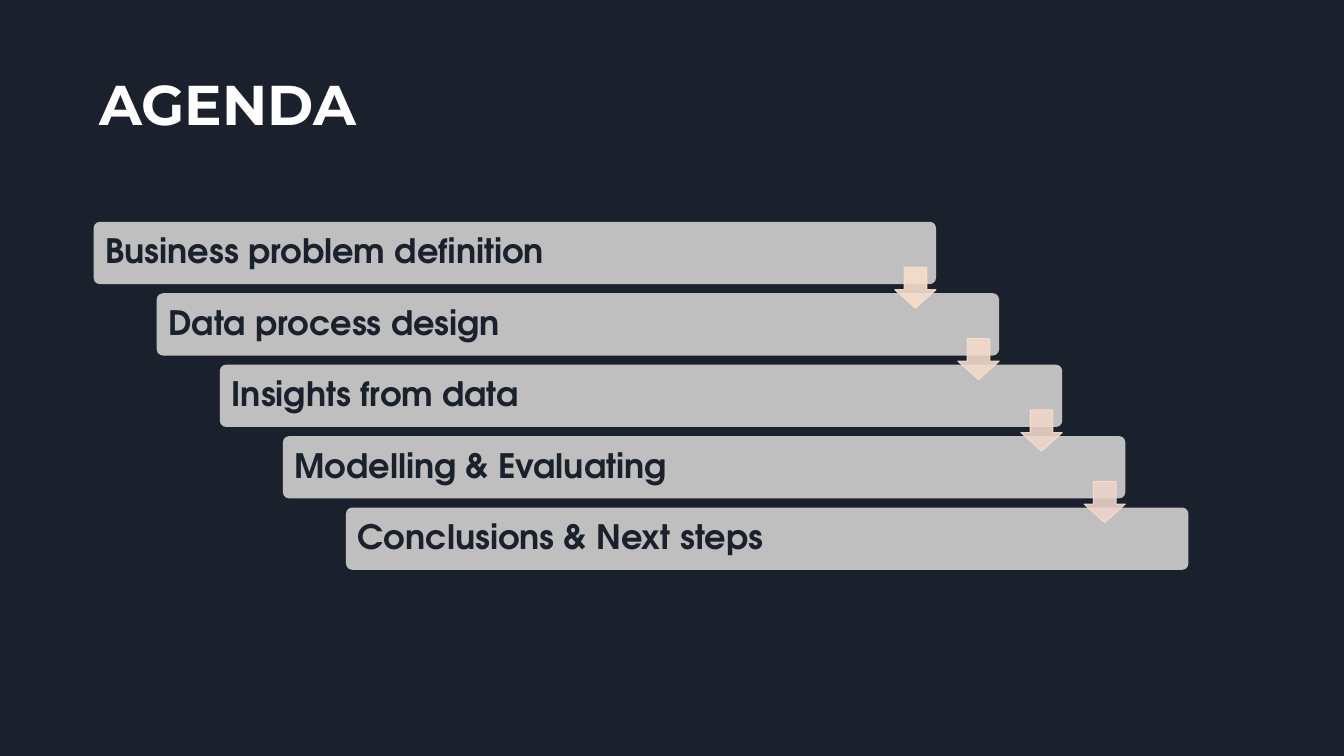
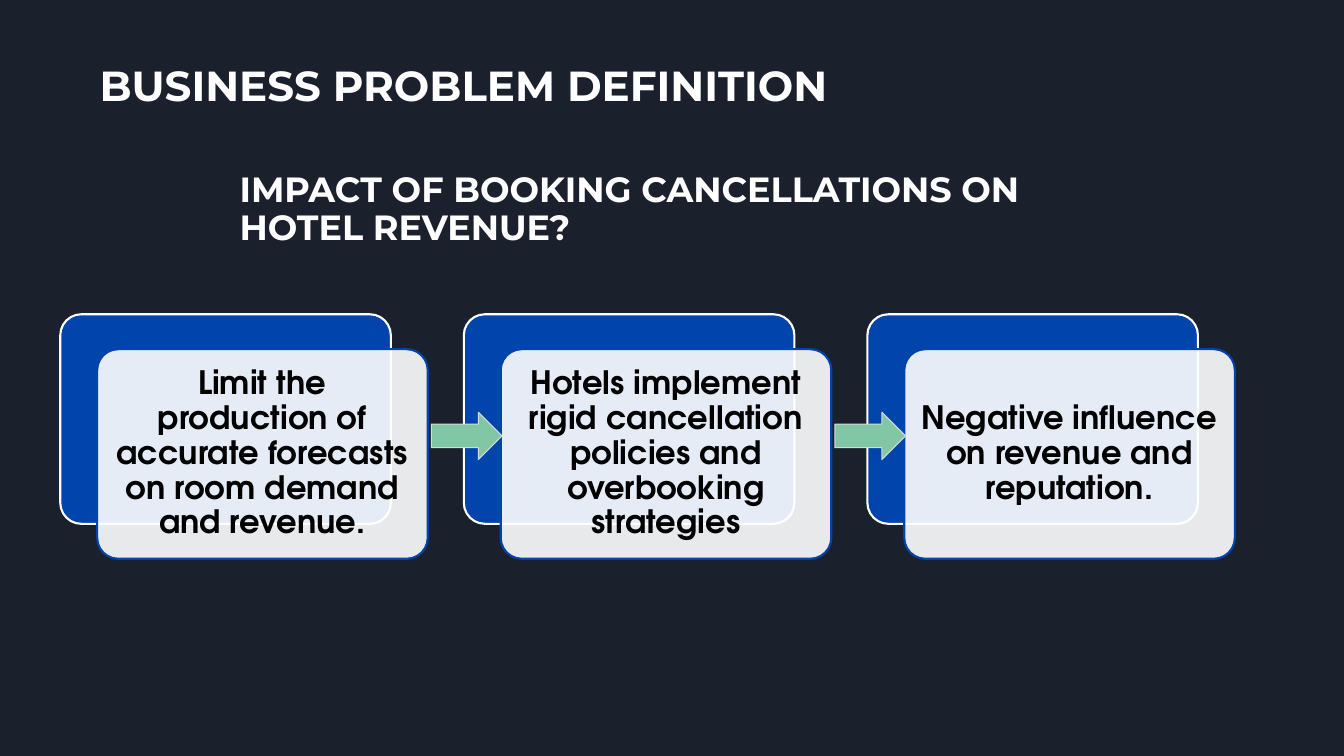
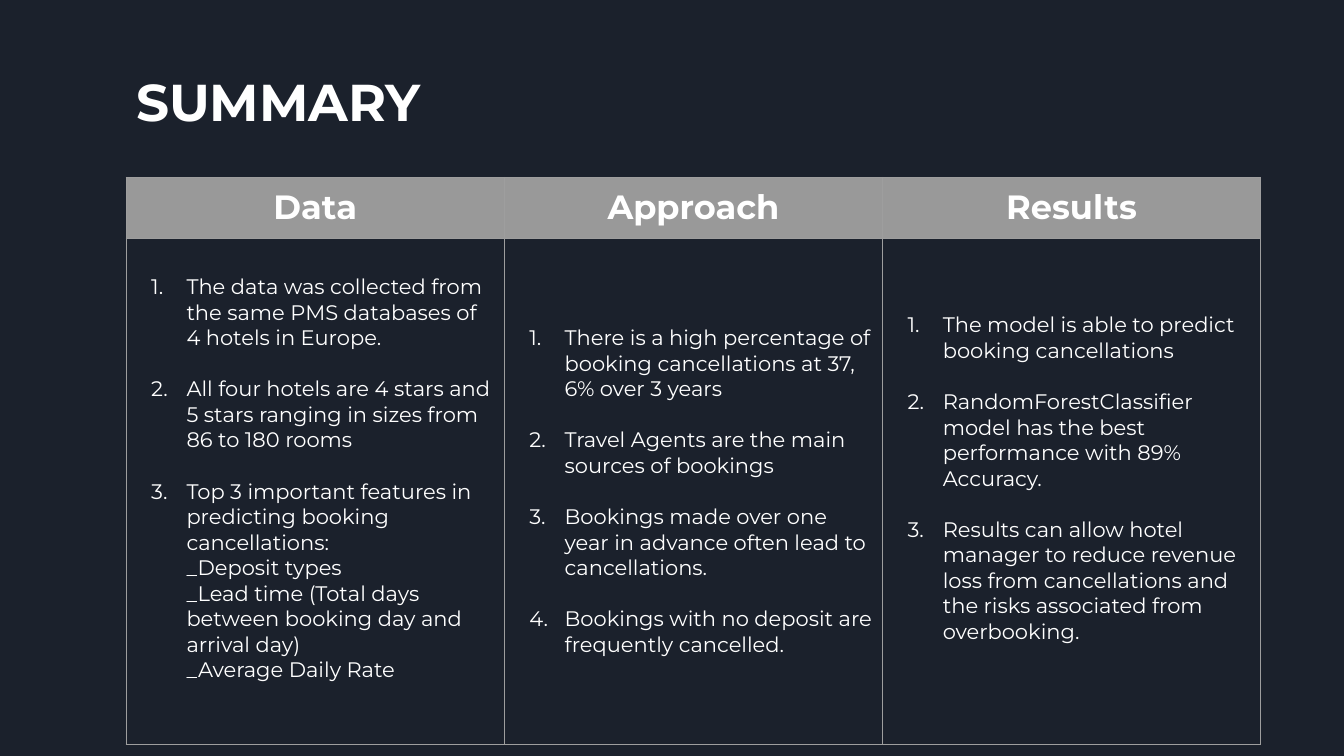
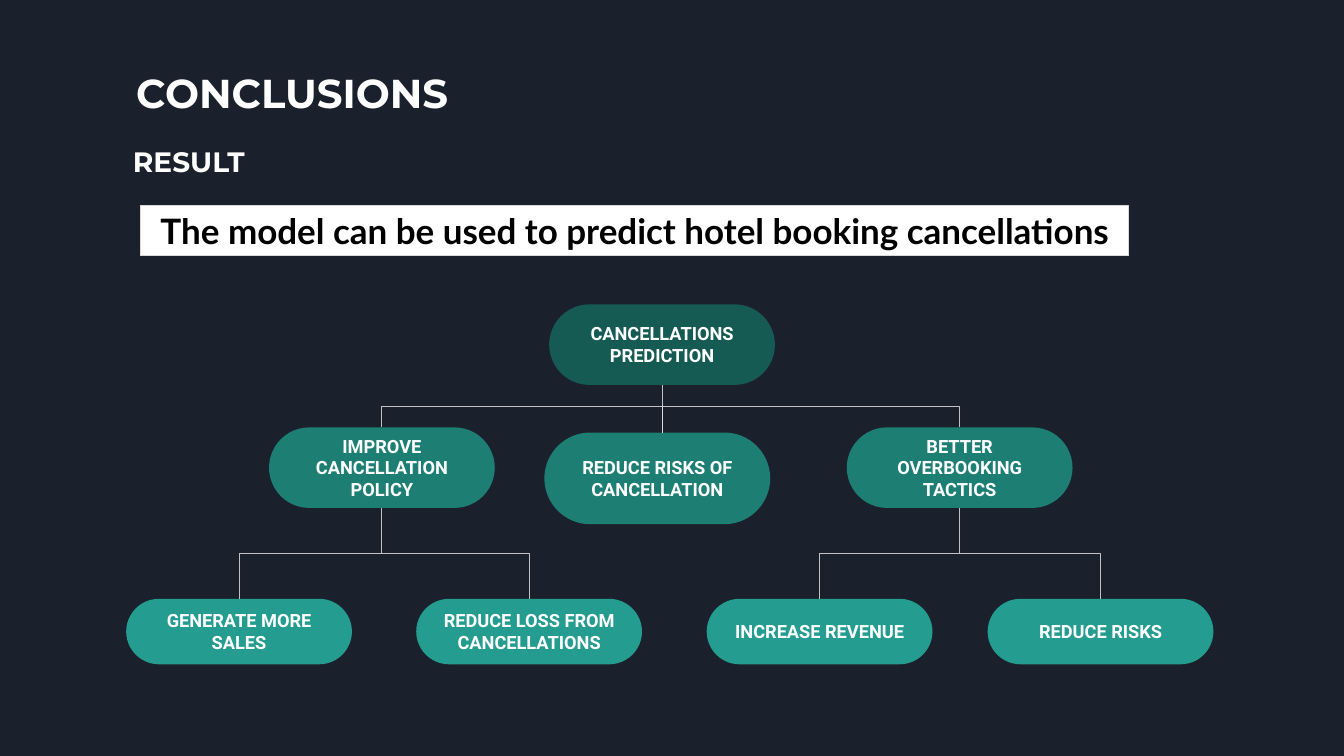
from dataclasses import dataclass

from lxml import etree
from pptx import Presentation
from pptx.dml.color import RGBColor
from pptx.enum.shapes import MSO_CONNECTOR, MSO_SHAPE
from pptx.enum.text import MSO_ANCHOR, PP_ALIGN
from pptx.oxml.ns import qn
from pptx.util import Cm, Pt

TOP, MIDDLE = MSO_ANCHOR.TOP, MSO_ANCHOR.MIDDLE
LEFT, CENTER = PP_ALIGN.LEFT, PP_ALIGN.CENTER
ROUNDED, RECTANGLE = MSO_SHAPE.ROUNDED_RECTANGLE, MSO_SHAPE.RECTANGLE
DOWN_ARROW, RIGHT_ARROW = MSO_SHAPE.DOWN_ARROW, MSO_SHAPE.RIGHT_ARROW
ELBOW, STRAIGHT = MSO_CONNECTOR.ELBOW, MSO_CONNECTOR.STRAIGHT


@dataclass(frozen=True)
class Theme:
    background: str = "1B212C"
    white: str = "FFFFFF"
    black: str = "000000"
    bar: str = "BFBFBF"
    step_line: str = "F6DFCC"
    step_fills: tuple = ("F6DFCC", "F2DACB", "EFD6CB", "ECD4CA")
    card: str = "0145AC"
    card_arrow: str = "82C7A5"
    outline: str = "D9D9D9"
    table_header: str = "999999"
    table_border: str = "9E9E9E"
    levels: tuple = ("155B54", "1D7E74", "249C90")
    connector: str = "C2C2C2"
    heading: str = "Montserrat"
    display: str = "TeX Gyre Adventor"
    banner: str = "Lato"
    node: str = "Roboto"
    thin: float = 0.75
    thick: float = 1.5


THEME = Theme()

STYLES = {
    "heading": {"name": THEME.heading, "color": THEME.white, "bold": True},
    "agenda": {"name": THEME.display, "size": 24, "color": THEME.background, "bold": True},
    "card": {"name": THEME.display, "size": 23, "color": THEME.black, "bold": True},
    "question": {"name": THEME.heading, "size": 25, "color": THEME.white, "bold": True},
    "table_head": {"name": THEME.heading, "size": 24, "color": THEME.white, "bold": True},
    "table_body": {"name": THEME.heading, "size": 15, "color": THEME.white, "bold": False},
    "result": {"name": THEME.heading, "size": 20, "color": THEME.white, "bold": True},
    "banner": {"name": THEME.banner, "size": 25, "color": THEME.black, "bold": True},
    "node": {"name": THEME.node, "size": 13, "color": THEME.white, "bold": True},
}

AGENDA = [
    "Business problem definition",
    "Data process design",
    "Insights from data",
    "Modelling & Evaluating",
    "Conclusions & Next steps",
]

QUESTION = "IMPACT OF BOOKING CANCELLATIONS ON HOTEL REVENUE?"
IMPACTS = [
    "Limit the production of accurate forecasts on room demand and revenue.",
    "Hotels implement rigid cancellation policies and overbooking strategies",
    "Negative influence on revenue and reputation.",
]

# Heading, numbered points, plain lines after the points, bottom margin in cm
SUMMARY = [
    ("Data", [
        "The data was collected from the same PMS databases of 4 hotels in Europe.",
        "All four hotels are 4 stars and 5 stars ranging in sizes from 86 to 180 rooms",
        "Top 3 important features in predicting booking cancellations:",
    ], [
        "_Deposit types",
        "_Lead time (Total days between booking day and arrival day)",
        "_Average Daily Rate",
    ], 0.9),
    ("Approach", [
        "There is a high percentage of booking cancellations at 37, 6% over 3 years",
        "Travel Agents are the main sources of bookings",
        "Bookings made over one year in advance often lead to cancellations.",
        "Bookings with no deposit are frequently cancelled.",
    ], [], 0.25),
    ("Results", [
        "The model is able to predict booking cancellations",
        "RandomForestClassifier model has the best performance with 89% Accuracy.",
        "Results can allow hotel manager to reduce revenue loss from cancellations "
        "and the risks associated from overbooking.",
    ], [], 0.9),
]

BANNER = "The model can be used to predict hotel booking cancellations"
NODE_WIDTH = 5.69
# Key: text, level, left, top, height, parent
NODES = {
    "root": ("CANCELLATIONS PREDICTION", 0, 13.84, 7.67, 2.03, None),
    "policy": ("IMPROVE CANCELLATION POLICY", 1, 6.78, 10.77, 2.03, "root"),
    "risks": ("REDUCE RISKS OF CANCELLATION", 1, 13.72, 10.9, 2.31, None),
    "tactics": ("BETTER OVERBOOKING TACTICS", 1, 21.34, 10.77, 2.03, "root"),
    "sales": ("GENERATE MORE SALES", 2, 3.18, 15.09, 1.65, "policy"),
    "loss": ("REDUCE LOSS FROM CANCELLATIONS", 2, 10.49, 15.09, 1.65, "policy"),
    "revenue": ("INCREASE REVENUE", 2, 17.81, 15.09, 1.65, "tactics"),
    "fewer_risks": ("REDUCE RISKS", 2, 24.89, 15.09, 1.65, "tactics"),
}


def rgb(color):
    return RGBColor.from_string(color)


def set_opacity(parent, percent):
    for color in parent.iter(qn("a:srgbClr")):
        etree.SubElement(color, qn("a:alpha"), val=str(percent * 1000))


def write(paragraph, text, style, align=LEFT, spacing=None, size=None):
    paragraph.alignment = align
    if spacing:
        paragraph.line_spacing = spacing
    run = paragraph.add_run()
    run.text = text
    values = STYLES[style]
    run.font.size = Pt(size or values["size"])
    run.font.color.rgb = rgb(values["color"])
    for name in ("name", "bold"):
        setattr(run.font, name, values[name])


def set_frame(frame, anchor, horizontal, vertical):
    values = {
        "word_wrap": True, "vertical_anchor": anchor,
        "margin_left": Cm(horizontal), "margin_right": Cm(horizontal),
        "margin_top": Cm(vertical), "margin_bottom": Cm(vertical),
    }
    for name, value in values.items():
        setattr(frame, name, value)


def add_text(slide, box, text, style, anchor=MIDDLE, margins=(0.25, 0.25), **options):
    frame = slide.shapes.add_textbox(*map(Cm, box)).text_frame
    set_frame(frame, anchor, *margins)
    write(frame.paragraphs[0], text, style, **options)


def add_shape(slide, kind, box, fill, line=None, width=THEME.thin, adjustments=(),
              opacity=None):
    shape = slide.shapes.add_shape(kind, *map(Cm, box))
    shape.shadow.inherit = False
    shape.fill.solid()
    shape.fill.fore_color.rgb = rgb(fill)
    if opacity:
        set_opacity(shape.element.spPr, opacity)
    if line:
        shape.line.color.rgb = rgb(line)
        shape.line.width = Pt(width)
    else:
        shape.line.fill.background()
    for index, value in enumerate(adjustments):
        shape.adjustments[index] = value
    return shape


def label(shape, text, style, margin=0.25, **options):
    set_frame(shape.text_frame, MIDDLE, margin, margin)
    write(shape.text_frame.paragraphs[0], text, style, **options)


def add_line(slide, kind, points, color):
    line = slide.shapes.add_connector(kind, *map(Cm, points))
    line.line.color.rgb = rgb(color)
    line.line.width = Pt(THEME.thin)
    etree.SubElement(line.element.spPr, qn("a:effectLst"))
    return line


def add_branch(slide, start, end):
    """Draw an elbow that leaves downwards, by turning a sideways one a quarter."""
    (x1, y1), (x2, y2) = start, end
    middle_x, middle_y = (x1 + x2) / 2, (y1 + y2) / 2
    to_right = x2 > x1
    half_run = (y2 - y1) / 2 * (1 if to_right else -1)
    half_rise = abs(x2 - x1) / 2
    points = (middle_x + half_run, middle_y - half_rise,
              middle_x - half_run, middle_y + half_rise)
    line = add_line(slide, ELBOW, points, THEME.connector)
    turn = 270 if to_right else 90
    line.element.spPr.find(qn("a:xfrm")).set("rot", str(turn * 60000))


def add_slide(presentation, title, box, size, anchor=MIDDLE, spacing=None):
    slide = presentation.slides.add_slide(presentation.slide_layouts[6])
    add_text(slide, box, title, "heading", anchor, (0.25, 0.13), size=size, spacing=spacing)
    return slide


def build_agenda(presentation):
    slide = add_slide(presentation, "AGENDA", (2.26, 1.63, 27.56, 2.95), 40, TOP)
    width, height, arrow = 21.23, 1.57, 1.04
    corners = [(2.36 + 1.59 * index, 5.59 + 1.8 * index) for index in range(len(AGENDA))]
    for (left, top), text in zip(corners, AGENDA):
        bar = add_shape(slide, ROUNDED, (left, top, width, height), THEME.bar,
                        adjustments=[0.1])
        label(bar, text, "agenda", spacing=0.9)
    for (left, top), fill in zip(corners, THEME.step_fills):
        box = (left + width - arrow, top + 1.14, arrow, arrow)
        step = add_shape(slide, DOWN_ARROW, box, fill, THEME.step_line,
                         adjustments=[0.55, 0.45])
        set_opacity(step.element.spPr, 90)


def build_problem(presentation):
    slide = add_slide(presentation, "BUSINESS PROBLEM DEFINITION",
                      (2.26, 1.5, 19.02, 1.42), 30, spacing=0.9)
    add_text(slide, (5.79, 4.09, 21.95, 1.83), QUESTION, "question", TOP, spacing=0.9)
    top, width, height = 7.92, 8.33, 5.28
    lefts = [1.52 + 10.17 * index for index in range(len(IMPACTS))]
    for left, text in zip(lefts, IMPACTS):
        add_shape(slide, ROUNDED, (left, top, width, height), THEME.card, THEME.white,
                  THEME.thick, [0.1])
        front = add_shape(slide, ROUNDED, (left + 0.93, top + 0.88, width, height),
                          THEME.white, THEME.card, THEME.thick, [0.1], 90)
        label(front, text, "card", align=CENTER, spacing=0.9)
    for left in lefts[:-1]:
        add_shape(slide, RIGHT_ARROW, (left + 9.35, 10.39, 1.78, 1.19),
                  THEME.card_arrow, THEME.outline)


def set_borders(cell):
    properties = cell._tc.get_or_add_tcPr()
    for index, side in enumerate(("lnL", "lnR", "lnT", "lnB")):
        border = etree.Element(qn("a:" + side), w=str(Pt(THEME.thin)))
        fill = etree.SubElement(border, qn("a:solidFill"))
        etree.SubElement(fill, qn("a:srgbClr"), val=THEME.table_border)
        properties.insert(index, border)


def indent(paragraph, numbered):
    properties = paragraph._p.get_or_add_pPr()
    properties.set("marL", str(Cm(1.27)))
    properties.set("indent", str(Cm(-0.89) if numbered else 0))
    if numbered:
        color = etree.SubElement(properties, qn("a:buClr"))
        etree.SubElement(color, qn("a:srgbClr"), val=THEME.white)
        etree.SubElement(properties, qn("a:buAutoNum"), type="arabicPeriod")
    else:
        etree.SubElement(properties, qn("a:buNone"))


def fill_points(frame, points, extras):
    lines = [(text, True) for text in points] + [(text, False) for text in extras]
    for index, (text, numbered) in enumerate(lines):
        paragraph = frame.add_paragraph() if index else frame.paragraphs[0]
        write(paragraph, text, "table_body")
        paragraph.space_before = Pt(18.3 if numbered and index else 0)
        indent(paragraph, numbered)


def build_summary(presentation):
    slide = add_slide(presentation, "SUMMARY", (3.18, 1.7, 27.51, 1.7), 37)
    column_width, row_heights = 9.53, (1.55, 12.73)
    box = (3.18, 4.47, column_width * len(SUMMARY), sum(row_heights))
    table = slide.shapes.add_table(2, len(SUMMARY), *map(Cm, box)).table
    table.first_row = table.horz_banding = False
    for row, height in zip(table.rows, row_heights):
        row.height = Cm(height)
    for index, (heading, points, extras, bottom) in enumerate(SUMMARY):
        table.columns[index].width = Cm(column_width)
        head, body = table.cell(0, index), table.cell(1, index)
        for cell, margin in ((head, 0.25), (body, bottom)):
            cell.margin_left = cell.margin_right = cell.margin_top = Cm(0.25)
            cell.margin_bottom = Cm(margin)
        head.fill.solid()
        head.fill.fore_color.rgb = rgb(THEME.table_header)
        body.fill.background()
        body.vertical_anchor = MIDDLE
        write(head.text_frame.paragraphs[0], heading, "table_head", align=CENTER)
        fill_points(body.text_frame, points, extras)
        set_borders(head)
        set_borders(body)


def build_conclusions(presentation):
    slide = add_slide(presentation, "CONCLUSIONS", (3.18, 1.7, 27.51, 1.27), 28.8)
    add_text(slide, (3.1, 3.3, 5.84, 1.55), "RESULT", "result")
    banner = add_shape(slide, RECTANGLE, (3.53, 5.18, 24.92, 1.27), THEME.white, THEME.outline)
    label(banner, BANNER, "banner", align=CENTER)
    for text, level, left, top, height, parent in NODES.values():
        node = add_shape(slide, ROUNDED, (left, top, NODE_WIDTH, height),
                         THEME.levels[level], adjustments=[0.5])
        label(node, text, "node", 0.33, align=CENTER)
        if parent:
            _, _, parent_left, parent_top, parent_height, _ = NODES[parent]
            start = (parent_left + NODE_WIDTH / 2, parent_top + parent_height)
            add_branch(slide, start, (left + NODE_WIDTH / 2, top))
    stem = NODES["root"][2] + NODE_WIDTH / 2
    add_line(slide, STRAIGHT, (stem, 10.21, stem, NODES["risks"][3]), THEME.outline)


def main():
    presentation = Presentation()
    presentation.slide_width, presentation.slide_height = Cm(33.87), Cm(19.05)
    background = presentation.slide_master.background.fill
    background.solid()
    background.fore_color.rgb = rgb(THEME.background)
    for build in (build_agenda, build_problem, build_summary, build_conclusions):
        build(presentation)
    presentation.save("out.pptx")


if __name__ == "__main__":
    main()
